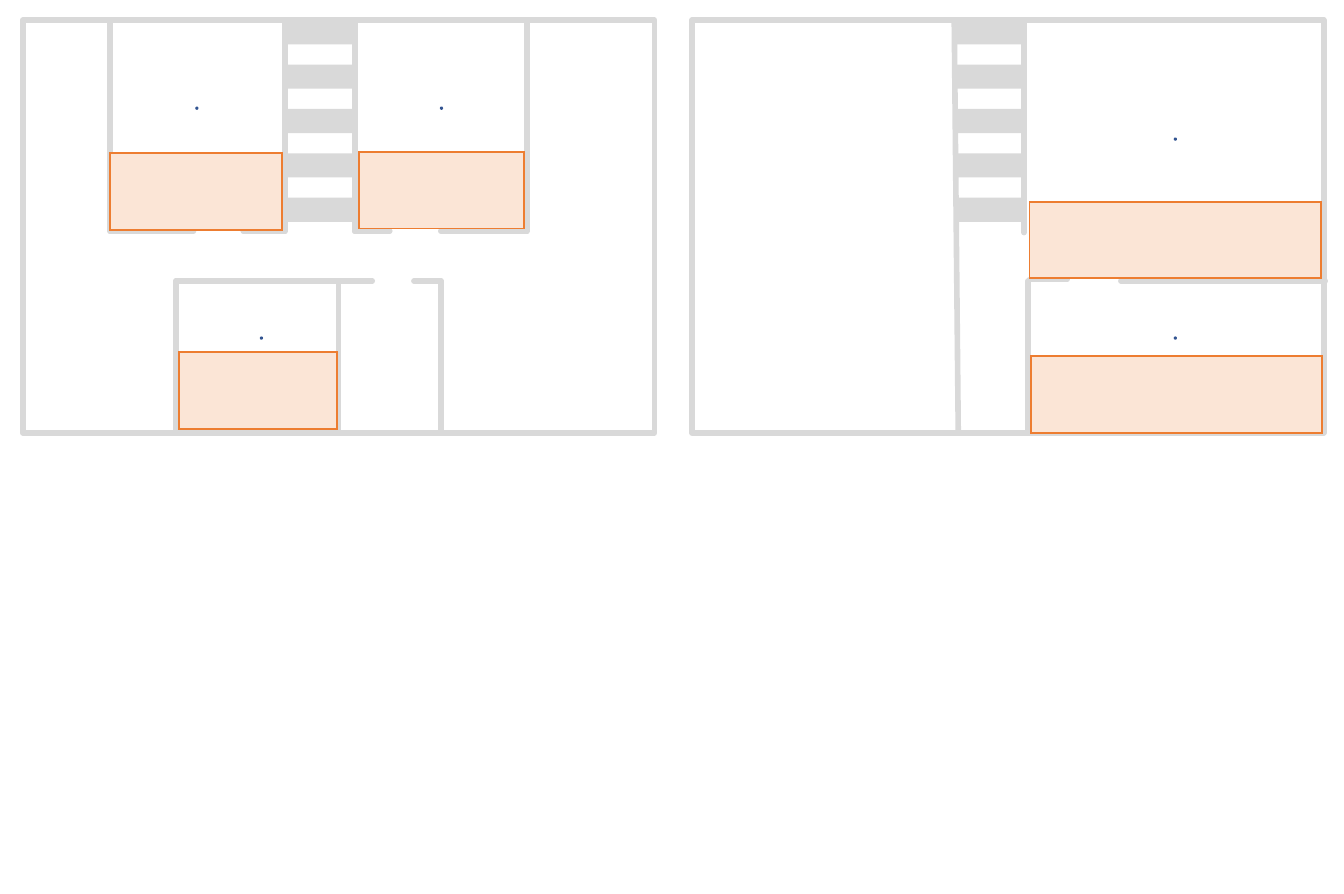
from lxml.etree import SubElement
from pptx import Presentation
from pptx.dml.color import RGBColor
from pptx.enum.shapes import MSO_CONNECTOR, MSO_SHAPE
from pptx.oxml.ns import qn
from pptx.util import Inches, Pt

COLS, ROWS = 1000, 665
CELL = Inches(10) // COLS
WALL = {"line": "D9D9D9", "width": 3, "join": "round"}
HOUSE = {"fill": None, **WALL}
TREAD = {"fill": "D9D9D9", "line": None}
ZONE = {"fill": "FBE5D6", "line": "ED7D31", "width": 1, "join": "miter"}
DOT = {"fill": "4472C4", "line": "325491", "width": 1, "join": "miter"}

HOUSES = [(17, 15), (515, 15)]
TREADS = [[213] * 5, [711, 711, 713, 711, 713]]
WALLS = [
    (82, 15, 82, 172), (82, 172, 144, 172), (181, 172, 212, 172),
    (212, 15, 212, 172), (264, 15, 264, 172), (264, 172, 290, 172),
    (392, 15, 392, 172), (328, 172, 392, 172),
    (131, 209, 131, 322), (252, 209, 252, 322), (328, 209, 328, 322),
    (277, 209, 131, 209), (328, 209, 308, 209),
    (710, 15, 713, 322), (762, 15, 762, 173), (765, 209, 765, 321),
    (834, 209, 986, 209), (794, 208, 766, 208),
]
ZONES = [(267, 113, 123), (82, 114, 128), (133, 262, 118),
         (766, 150, 217), (767, 265, 217)]
DOTS = [(146, 80), (328, 80), (194, 251), (874, 103), (874, 251)]


def cells(*counts):
    """Turn grid counts into lengths."""
    return [n * CELL for n in counts]


def paint(fmt, color):
    """Fill with a hex colour, or leave empty."""
    if color is None:
        fmt.background()
    else:
        fmt.solid()
        fmt.fore_color.rgb = RGBColor.from_string(color)


def outline(shape, style):
    """Apply line colour, width, cap and join."""
    paint(shape.line.fill, style["line"])
    if style["line"]:
        for name, value in {"width": Pt(style["width"])}.items():
            setattr(shape.line, name, value)
        ln = shape.element.spPr.find(qn("a:ln"))
        ln.set("cap", "rnd" if style["join"] == "round" else "flat")
        join = SubElement(ln, qn("a:" + style["join"]))
        if style["join"] == "miter":
            join.set("lim", "800000")


def add_block(s, box, style, kind=MSO_SHAPE.RECTANGLE):
    """Add a preset shape on the grid."""
    sp = s.shapes.add_shape(kind, *cells(*box))
    sp.shadow.inherit = False
    paint(sp.fill, style["fill"])
    outline(sp, style)


def add_wall(s, ends):
    """Add a straight wall between two grid points."""
    wall = s.shapes.add_connector(MSO_CONNECTOR.STRAIGHT, *cells(*ends))
    outline(wall, WALL)
    SubElement(wall.element.spPr, qn("a:effectLst"))


def main():
    """Build the two floor plans."""
    prs = Presentation()
    for name, value in {"slide_width": COLS, "slide_height": ROWS}.items():
        setattr(prs, name, value * CELL)
    s = prs.slides.add_slide(prs.slide_layouts[6])
    for x, y in HOUSES:
        add_block(s, (x, y, 470, 307), HOUSE)
    for ends in WALLS:
        add_wall(s, ends)
    for lefts in TREADS:
        for i, x in enumerate(lefts):
            add_block(s, (x, 15 + 33 * i, 50, 18), TREAD)
    for x, y, width in ZONES:
        add_block(s, (x, y, width, 57), ZONE)
    for x, y in DOTS:
        add_block(s, (x, y, 1, 1), DOT, MSO_SHAPE.OVAL)
    prs.save("out.pptx")


main()
